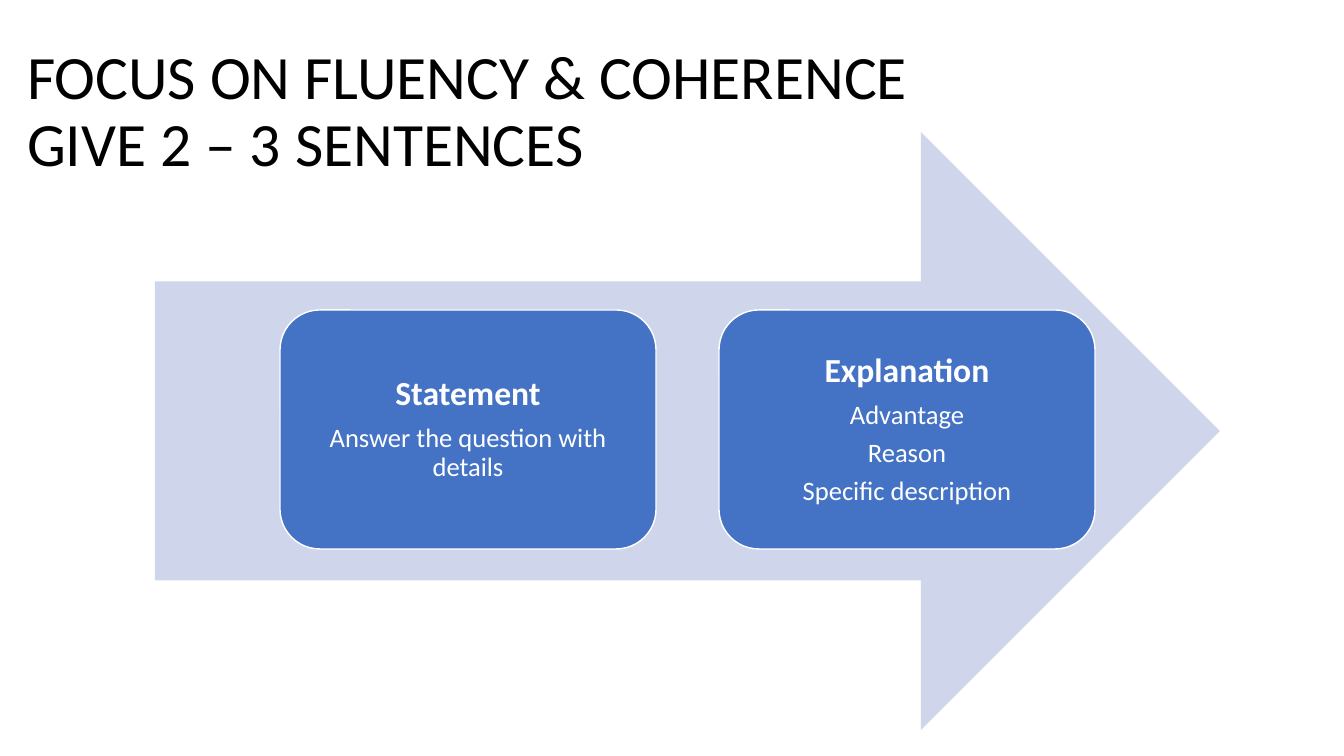
"""Build a slide with a statement-to-explanation arrow."""
from pptx import Presentation
from pptx.dml.color import RGBColor as RGB
from pptx.enum.shapes import MSO_SHAPE as SHAPE
from pptx.enum.text import MSO_ANCHOR as ANCHOR, MSO_AUTO_SIZE as AUTO, PP_ALIGN as ALIGN
from pptx.util import Emu, Pt

EMU_PER_PX = 914400 / 100.8
FONT = "Calibri"
COLORS = {"text": "000000", "arrow": "CFD5EA", "card": "4472C4", "white": "FFFFFF"}
CARDS = [
    ("Statement", ["Answer the question with details"]),
    ("Explanation", ["Advantage", "Reason", "Specific description"]),
]
CARD_LEFT, CARD_TOP, CARD_W, CARD_H, CARD_STEP = 280, 310, 376, 239, 439


def px(n):
    return Emu(round(n * EMU_PER_PX))


def color(name):
    return RGB.from_string(COLORS[name])


def format_paragraph(p, size, name, align, bold=False):
    p.alignment = align
    p.line_spacing = 0.9
    p.font.name = FONT
    p.font.size = Pt(size)
    p.font.bold = bold
    p.font.color.rgb = color(name)


def add_title(slide, text):
    sp = slide.shapes.title
    sp.left, sp.top, sp.width, sp.height = map(px, (17, 40, 1317, 146))
    tf = sp.text_frame
    tf.auto_size = AUTO.NONE
    tf.vertical_anchor = ANCHOR.MIDDLE
    p = tf.paragraphs[0]
    p.text = text
    format_paragraph(p, 44, "text", ALIGN.LEFT)


def add_block(slide, kind, box, fill):
    sp = slide.shapes.add_shape(kind, *map(px, box))
    sp.shadow.inherit = False
    sp.fill.solid()
    sp.fill.fore_color.rgb = color(fill)
    sp.line.fill.background()
    return sp


def add_card(slide, left, heading, details):
    box = (left, CARD_TOP, CARD_W, CARD_H)
    sp = add_block(slide, SHAPE.ROUNDED_RECTANGLE, box, "card")
    sp.line.color.rgb = color("white")
    sp.line.width = Pt(1)
    tf = sp.text_frame
    tf.word_wrap = True
    tf.vertical_anchor = ANCHOR.MIDDLE
    tf.margin_left = tf.margin_right = tf.margin_top = tf.margin_bottom = px(10)
    for i, text in enumerate([heading, *details]):
        p = tf.add_paragraph() if i else tf.paragraphs[0]
        p.text = text
        size = 19 if i else 24
        format_paragraph(p, size, "white", ALIGN.CENTER, bold=not i)
        p.space_after = Pt(size * 0.35)


def main():
    prs = Presentation()
    prs.slide_width, prs.slide_height = px(1344), px(756)
    slide = prs.slides.add_slide(prs.slide_layouts[5])
    add_title(slide, "FOCUS ON FLUENCY & COHERENCE\vGIVE 2 – 3 SENTENCES")
    add_block(slide, SHAPE.RIGHT_ARROW, (155, 132, 1065, 598), "arrow")
    for i, (heading, details) in enumerate(CARDS):
        add_card(slide, CARD_LEFT + i * CARD_STEP, heading, details)
    prs.save("out.pptx")


if __name__ == "__main__":
    main()
